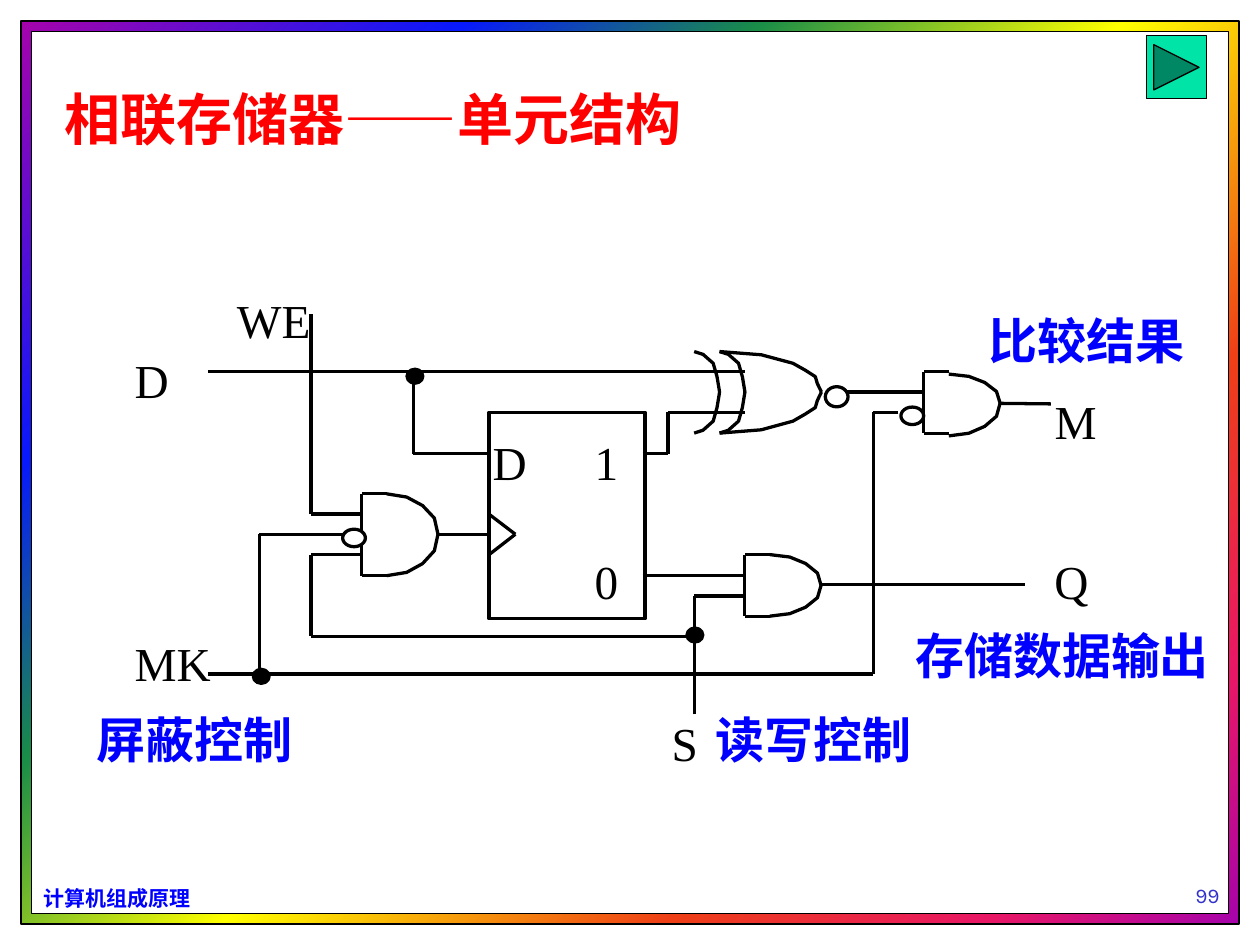
from itertools import pairwise

from lxml import etree
from pptx import Presentation
from pptx.dml.color import RGBColor
from pptx.enum import shapes, text
from pptx.oxml import ns
from pptx.util import Pt

SHAPE = shapes.MSO_SHAPE
ALIGN = text.PP_ALIGN
SERIF = "Times New Roman"
BLACK, WHITE, BLUE = "000000", "FFFFFF", "0000FF"
INK = 1.88

RAINBOW = [(0, "A603AB"), (21, "0819FB"), (35, "1A8D48"), (52, "FFFF00"),
           (73, "EE3F17"), (88, "E81766"), (100, "A603AB")]

# Outlines as fractions of width and height, from the outer end to the tip
ROUND = [(0, 0), (0.39, 0.08), (0.7, 0.29), (0.93, 0.6), (1, 1)]
BACK = [(0, 0), (0.35, 0.07), (0.75, 0.29), (0.9, 0.62), (1, 1)]
NOSE = [(0, 0), (0.41, 0.08), (0.72, 0.29), (0.84, 0.46), (0.94, 0.62),
        (0.96, 0.79), (1, 1)]

WIRES = [
    [(250.5, 305.3), (279.4, 305.3)],
    [(195.8, 305.3), (148.3, 305.3), (148.3, 385.2)],
    [(206.6, 293.8), (177.8, 293.8), (177.8, 179.3)],
    [(367.2, 259.2), (381.7, 259.2), (381.7, 235.6), (425.5, 235.6)],
    [(118.8, 212.4), (425.5, 212.4)],
    [(206.6, 317), (177.8, 317), (177.8, 363.6), (396.7, 363.6)],
    [(367.2, 329), (425.5, 329)],
    [(396.7, 408.2), (396.7, 340.6), (425.5, 340.6)],
    [(118.8, 385.2), (499, 385.2)],
    [(469.3, 334), (586, 334)],
    [(483.8, 224), (527.8, 224)],
    [(571.5, 230.5), (600.5, 230.8)],
    [(513.4, 235.6), (499, 235.6), (499, 385.2)],
    [(279.4, 293.8), (294.5, 305.3), (279.4, 317)],
    [(236.2, 212.4), (236.2, 259.2), (279.4, 259.2)],
]

# left, top, bottom, arc top, arc bottom, tip
GATES = [(206.6, 282.2, 329, 282.2, 329, 305.3),
         (425.5, 316.9, 352.1, 316.9, 352.1, 334.5),
         (527.8, 212.4, 247.7, 213.8, 249.1, 230.4)]

RINGS = [(195.8, 302.4, 13, 10), (471.6, 221, 13, 11.5), (514.8, 232.6, 13, 10)]
DOTS = [(392.6, 358.9), (232.6, 211), (144.8, 382.5)]

SIGNS = [("0", 339.8, 315.4, 25), ("1", 339.8, 247.7, 25), ("D", 281.5, 247.7, 31),
         ("WE", 135.4, 166.3, 55), ("D", 77, 200.9, 31), ("M", 602.6, 223.9, 37),
         ("Q", 602.6, 315.4, 33), ("S", 383.8, 408.2, 27), ("MK", 77, 362.2, 58)]

NOTES = [("比较结果", 558, 174, 127), ("存储数据输出", 516, 354, 184),
         ("屏蔽控制", 48, 402, 127), ("读写控制", 402, 402, 127)]


def tint(code):
    return RGBColor.from_string(code)


def apply(target, values):
    for name, value in values.items():
        setattr(target, name, value)


def trim(item, fill=None, width=INK):
    """Give a shape its fill and black line, without a shadow."""
    item.shadow.inherit = False
    if fill:
        item.fill.solid()
        item.fill.fore_color.rgb = tint(fill)
    else:
        item.fill.background()
    item.line.color.rgb = tint(BLACK)
    item.line.width = Pt(width)


def block(tree, kind, area, fill=None, width=INK):
    item = tree.add_shape(kind, *map(Pt, area))
    trim(item, fill, width)
    return item


def blend(item, stops, angle):
    item.fill.gradient()
    item.fill.gradient_angle = 360 - angle
    stop_list = item.fill._fill._gradFill.find(ns.qn("a:gsLst"))
    for old in list(stop_list):
        stop_list.remove(old)
    for place, code in stops:
        stop = etree.SubElement(stop_list, ns.qn("a:gs"), pos=str(place * 1000))
        etree.SubElement(stop, ns.qn("a:srgbClr"), val=code)


def label(tree, words, area, look, inset=True, align=ALIGN.LEFT, **frame):
    box = tree.add_textbox(*map(Pt, area)).text_frame
    values = {"word_wrap": False, "auto_size": text.MSO_AUTO_SIZE.SHAPE_TO_FIT_TEXT}
    if not inset:
        for side in ("left", "right", "top", "bottom"):
            values["margin_" + side] = 0
    apply(box, values | frame)
    para = box.paragraphs[0]
    para.alignment = align
    run = para.add_run()
    run.text = words
    name, size, code, bold = look
    apply(run.font, {"name": name, "size": Pt(size), "bold": bold})
    run.font.color.rgb = tint(code)


def wire(tree, points):
    for start, end in pairwise(points):
        line = tree.add_connector(shapes.MSO_CONNECTOR.STRAIGHT,
                                  *map(Pt, start + end))
        line.line.color.rgb = tint(BLACK)
        line.line.width = Pt(INK)
        etree.SubElement(line._element.spPr, ns.qn("a:effectLst"))


def curve(tree, form, x, y, wide, tip):
    """Draw an open outline from (x, y) to its tip."""
    first, *rest = [(Pt(x + wide * a), Pt(y + (tip - y) * b)) for a, b in form]
    path = tree.build_freeform(*first)
    path.add_line_segments(rest, close=False)
    trim(path.convert_to_shape())


def gate(tree, left, top, base, high, low, tip):
    """Draw an AND gate."""
    mid = left + 14.4
    wire(tree, [(mid, top), (left, top), (left, base), (mid, base)])
    for y in (high, low):
        curve(tree, ROUND, mid, y, 29.3, tip)


def xor(tree):
    for y in (200.9, 247.5):
        curve(tree, BACK, 396.7, y, 14.5, 224)
        curve(tree, BACK, 411.2, y, 14.5, 224)
        curve(tree, NOSE, 411.2, y, 58.2, 224)


def border(tree):
    frame = block(tree, SHAPE.RECTANGLE, (12, 12, 696, 516), WHITE, 0.75)
    blend(frame, RAINBOW, 45)
    block(tree, SHAPE.RECTANGLE, (18, 18, 684, 504), WHITE, 0.75)


def circuit(tree):
    block(tree, SHAPE.RECTANGLE, (279.4, 235.6, 89.3, 118.1))
    for points in WIRES:
        wire(tree, points)
    for sizes in GATES:
        gate(tree, *sizes)
    xor(tree)
    block(tree, SHAPE.OVAL, RINGS[0], WHITE)
    for area in RINGS[1:]:
        block(tree, SHAPE.OVAL, area)
    for x, y in DOTS:
        block(tree, SHAPE.OVAL, (x, y, 9, 8), BLACK)
    for words, x, y, wide in SIGNS:
        label(tree, words, (x, y, wide, 38), (SERIF, 27, BLACK, False), inset=False)


def main():
    deck = Presentation()
    apply(deck, {"slide_width": Pt(720), "slide_height": Pt(540)})
    tree = deck.slides.add_slide(deck.slide_layouts[6]).shapes
    fixed = {"word_wrap": True, "auto_size": text.MSO_AUTO_SIZE.NONE,
             "vertical_anchor": text.MSO_ANCHOR.BOTTOM}
    border(tree)
    label(tree, "计算机组成原理", (18, 502.5, 98.5, 21.8),
          ("Noto Sans CJK SC", 12, BLUE, True))
    label(tree, "99", (624, 486, 132, 36), ("Karla", 12, "3333CC", False),
          align=ALIGN.CENTER, **fixed)
    label(tree, "相联存储器——单元结构", (30, 36, 660, 54),
          (SERIF, 32, "FF0000", True), **fixed)
    circuit(tree.add_group_shape().shapes)
    for words, x, y, wide in NOTES:
        label(tree, words, (x, y, wide, 41), (SERIF, 28, BLUE, True))
    block(tree, SHAPE.ACTION_BUTTON_FORWARD_OR_NEXT, (655, 20.5, 34.5, 36),
          "00E4A8", 0.75)
    deck.save("out.pptx")


if __name__ == "__main__":
    main()
